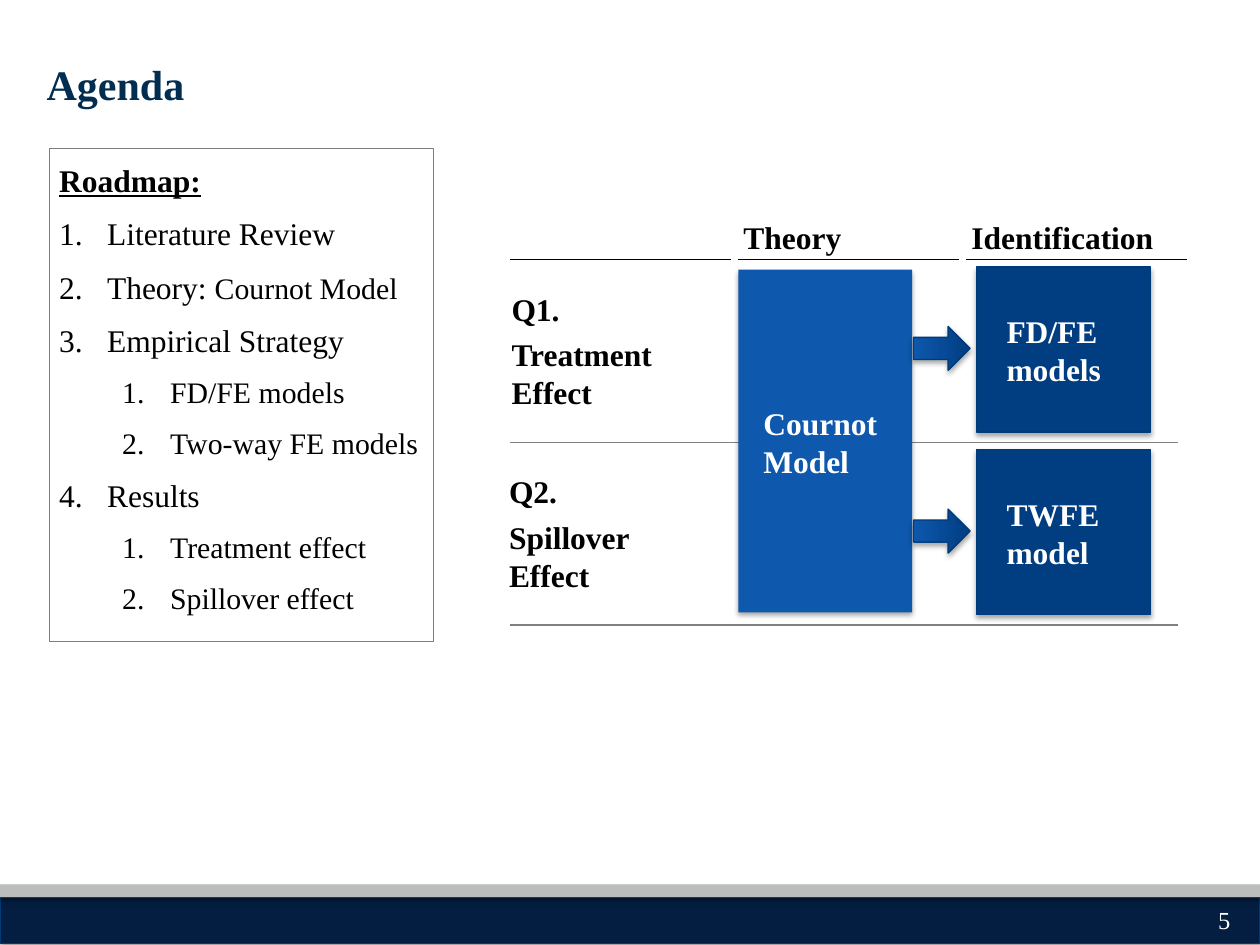
from dataclasses import dataclass

from lxml import etree
from pptx import Presentation
from pptx import util as u
from pptx.dml.color import RGBColor
from pptx.enum import shapes, text
from pptx.oxml import ns


@dataclass(frozen=True)
class Theme:
    font: str = "Times New Roman"
    black: str = "000000"
    white: str = "FFFFFF"
    title: str = "002D50"
    footer: str = "041E42"
    band: str = "BBBCBC"
    dark_blue: str = "003D81"
    blue: str = "0E58AD"
    edge: str = "003A79"
    frame: str = "7E7E7E"
    rule: str = "808080"
    title_size: int = 24
    body_size: int = 18
    detail_size: int = 17
    number_size: int = 14


THEME = Theme()
PLAIN_INSETS = (0.1, 0.05, 0.1, 0.05)
TIGHT_INSETS = (0.08, 0.04, 0.08, 0.04)
QUESTION_INSETS = (0.07, 0.04, 0.07, 0.04)
HEADING_INSETS = (0, 0, 0, 0.02)
TOP, MIDDLE, BOTTOM = (
    text.MSO_ANCHOR.TOP, text.MSO_ANCHOR.MIDDLE, text.MSO_ANCHOR.BOTTOM)
ROADMAP = [
    (0, ["Literature Review"]),
    (0, ["Theory: ", "Cournot Model"]),
    (0, ["Empirical Strategy"]),
    (1, ["FD/FE models"]),
    (1, ["Two-way FE models"]),
    (0, ["Results"]),
    (1, ["Treatment effect"]),
    (1, ["Spillover effect"]),
]


def inches(*lengths):
    return [u.Inches(length) for length in lengths]


def add_child(parent, tag, **attributes):
    child = etree.SubElement(parent, ns.qn(tag))
    for name, value in attributes.items():
        child.set(name, str(value))
    return child


def style_span(span, size, color=THEME.black, bold=False):
    span.font.name = THEME.font
    span.font.size = u.Pt(size)
    span.font.bold = bold
    span.font.color.rgb = RGBColor.from_string(color)


def set_frame(frame, insets, anchor):
    frame.word_wrap = True
    frame.vertical_anchor = anchor
    (frame.margin_left, frame.margin_top,
     frame.margin_right, frame.margin_bottom) = inches(*insets)


def add_label(page, place, content, size=THEME.body_size, color=THEME.black,
              bold=True, insets=PLAIN_INSETS, anchor=TOP, gap=0):
    box = page.shapes.add_textbox(*inches(*place))
    set_frame(box.text_frame, insets, anchor)
    box.text_frame.text = content
    for para in box.text_frame.paragraphs:
        para.space_before = para.space_after = u.Pt(gap)
        for span in para.runs:
            style_span(span, size, color, bold)


def add_block(page, place, fill=None, line=None, shadow=True,
              kind=shapes.MSO_SHAPE.RECTANGLE):
    block = page.shapes.add_shape(kind, *inches(*place))
    block.shadow.inherit = False
    if fill:
        block.fill.solid()
        block.fill.fore_color.rgb = RGBColor.from_string(fill)
    else:
        block.fill.background()
    if line:
        block.line.color.rgb = RGBColor.from_string(line)
        block.line.width = u.Pt(0.75)
    else:
        block.line.fill.background()
    if shadow:
        effects = block.element.spPr.find(ns.qn("a:effectLst"))
        outer = add_child(effects, "a:outerShdw", blurRad=u.Pt(3.1),
                          dist=u.Pt(1.8), dir=5400000, rotWithShape=0)
        color = add_child(outer, "a:srgbClr", val=THEME.black)
        add_child(color, "a:alpha", val=35000)
    return block


def add_rule(page, left, top, width, color, weight):
    rule = page.shapes.add_connector(
        shapes.MSO_CONNECTOR.STRAIGHT, *inches(left, top, left + width, top))
    rule.line.color.rgb = RGBColor.from_string(color)
    rule.line.width = u.Pt(weight)
    add_child(rule.element.spPr, "a:effectLst")


def add_arrow(page, place):
    arrow = add_block(page, place, THEME.dark_blue, THEME.edge,
                      kind=shapes.MSO_SHAPE.RIGHT_ARROW)
    arrow.fill.gradient()
    arrow.fill.gradient_angle = 180
    for stop, color in zip(arrow.fill.gradient_stops,
                           (THEME.dark_blue, THEME.blue)):
        stop.color.rgb = RGBColor.from_string(color)


def add_footer(page, left, top, width, height):
    band = 0.1
    add_block(page, (left, top + band, width, height - band),
              THEME.footer, THEME.edge)
    add_block(page, (left, top, width, band), THEME.band)
    add_label(page, (left + width - 0.43, 7.1, 0.43, 0.4), "5",
              THEME.number_size, THEME.white, bold=False, anchor=MIDDLE)


def add_roadmap(page, *place):
    frame = add_block(page, place, line=THEME.frame, shadow=False).text_frame
    set_frame(frame, TIGHT_INSETS, TOP)
    frame.text = "Roadmap:"
    heading = frame.paragraphs[0].runs[0]
    style_span(heading, THEME.body_size, bold=True)
    heading.font.underline = True
    for level, parts in ROADMAP:
        para = frame.add_paragraph()
        para.level = level
        for index, part in enumerate(parts):
            span = para.add_run()
            span.text = part
            style_span(span, THEME.detail_size if level or index
                       else THEME.body_size)
    for para in frame.paragraphs:
        para.alignment = text.PP_ALIGN.LEFT
        para.line_spacing = 1.2
        para.space_before = u.Pt(4.5)
    for para in frame.paragraphs[1:]:
        settings = para._p.get_or_add_pPr()
        settings.set("marL", str(u.Inches(0.38 + 0.5 * para.level)))
        settings.set("indent", str(u.Inches(-0.38)))
        add_child(settings, "a:buFont", typeface="+mj-lt")
        add_child(settings, "a:buAutoNum", type="arabicPeriod")


def add_matrix(page, left, top, width, height):
    row_step = 1.45
    column_step = 1.81
    model_left = left + 3.7
    for bottom in (top + height - row_step, top + height):
        add_rule(page, left, bottom, width, THEME.rule, 0.75)
    for column, heading in enumerate(("", "Theory", "Identification")):
        start = left + column * column_step
        add_rule(page, start, top + 0.31, 1.75, THEME.black, 0.5)
        if heading:
            add_label(page, (start + 0.04, top, 1.7, 0.3), heading,
                      insets=HEADING_INSETS, anchor=BOTTOM)

    add_block(page, (left + column_step, top + 0.39, 1.38, 2.72), THEME.blue)
    add_label(page, (left + 1.91, top + 1.4, 1.21, 0.71), "Cournot Model",
              color=THEME.white, anchor=MIDDLE)

    rows = [("Q1.\nTreatment Effect", -0.06, "FD/FE\nmodels"),
            ("Q2.\nSpillover\vEffect", -0.08, "TWFE model")]
    for row, (question, shift, model) in enumerate(rows):
        row_top = top + row * row_step
        add_label(page, (left + shift, row_top + 0.42, 1.8, 1.22), question,
                  insets=QUESTION_INSETS, anchor=MIDDLE, gap=2.2)
        add_block(page, (model_left, row_top + 0.37, 1.38, 1.31),
                  THEME.dark_blue, THEME.edge)
        add_label(page, (model_left + 0.14, row_top + 0.68, 1.09, 0.71),
                  model, color=THEME.white)
        add_arrow(page, (left + 3.2, row_top + 0.84, 0.45, 0.35))


def main():
    deck = Presentation()
    deck.slide_width, deck.slide_height = inches(10, 7.5)
    page = deck.slides.add_slide(deck.slide_layouts[6])
    add_footer(page, 0, 7.02, 10, 0.47)
    add_label(page, (0.29, 0.34, 9, 0.65), "Agenda", THEME.title_size,
              THEME.title, insets=TIGHT_INSETS, anchor=MIDDLE)
    add_roadmap(page, 0.39, 1.18, 3.05, 3.91)
    add_matrix(page, 4.05, 1.75, 5.3, 3.21)
    deck.save("out.pptx")


if __name__ == "__main__":
    main()
